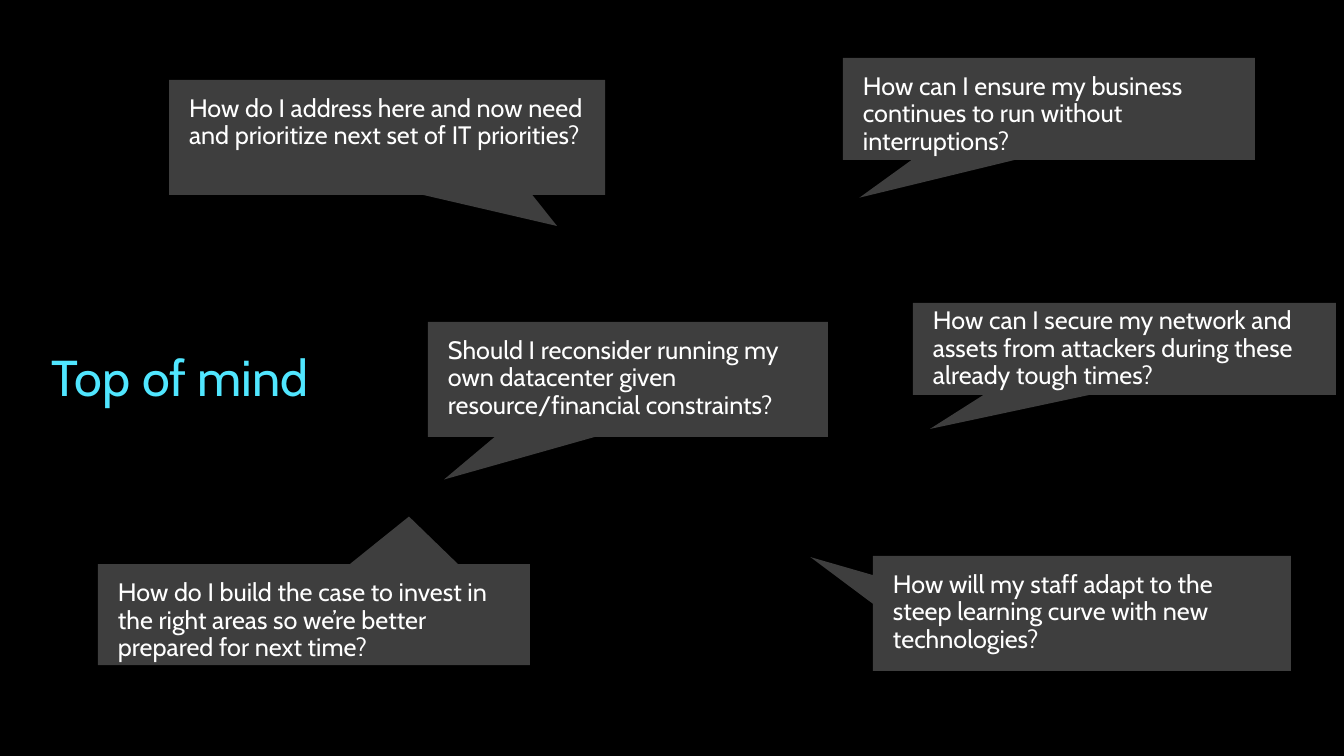
from pptx import Presentation
from pptx.dml.color import RGBColor
from pptx.enum.shapes import MSO_SHAPE
from pptx.enum.text import MSO_ANCHOR, PP_ALIGN
from pptx.util import Emu, Pt

CALLOUT = MSO_SHAPE.RECTANGULAR_CALLOUT
TOP, MIDDLE = MSO_ANCHOR.TOP, MSO_ANCHOR.MIDDLE
LEFT = PP_ALIGN.LEFT

BLACK = RGBColor(0x00, 0x00, 0x00)
GRAY = RGBColor(0x3E, 0x3E, 0x3E)
WHITE = RGBColor(0xFF, 0xFF, 0xFF)
CYAN = RGBColor(0x50, 0xE6, 0xFF)

FONT = "Cabin"
PX_PER_INCH = 100.8

QUESTIONS = [
    ((843, 58, 412, 102), (-0.46, 0.87), TOP,
     "How can I ensure my business continues to run without interruptions?"),
    ((428, 322, 400, 115), (-0.46, 0.87), TOP,
     "Should I reconsider running my own datacenter given resource/financial constraints?"),
    ((169, 80, 436, 115), (0.39, 0.77), TOP,
     "How do I address here and now need and prioritize next set of IT priorities?"),
    ((873, 556, 418, 115), (-0.65, -0.49), TOP,
     "How will my staff adapt to the steep learning curve with new technologies?"),
    ((98, 564, 432, 101), (0.22, -0.97), TOP,
     "How do I build the case to invest in the right areas so we’re better prepared for next time?"),
    ((913, 303, 423, 92), (-0.46, 0.87), MIDDLE,
     "How can I secure my network and assets from attackers during these already tough times?"),
]


def px(n):
    return Emu(round(n * 914400 / PX_PER_INCH))


def apply(target, values):
    for name, value in values.items():
        setattr(target, name, value)


class SlideBuilder:
    def __init__(self, prs):
        self.slide = prs.slides.add_slide(prs.slide_layouts[6])
        fill = self.slide.background.fill
        fill.solid()
        fill.fore_color.rgb = BLACK

    def set_text(self, sp, text, size, color, insets, anchor=TOP, after=0):
        tf = sp.text_frame
        left, top, right, bottom = map(px, insets)
        apply(tf, {"word_wrap": True, "vertical_anchor": anchor,
                   "margin_left": left, "margin_top": top,
                   "margin_right": right, "margin_bottom": bottom})
        p = tf.paragraphs[0]
        apply(p, {"alignment": LEFT, "line_spacing": 0.9, "space_after": Pt(after)})
        r = p.add_run()
        r.text = text
        apply(r.font, {"name": FONT, "size": Pt(size)})
        r.font.color.rgb = color

    def title(self, box, text):
        sp = self.slide.shapes.add_textbox(*map(px, box))
        self.set_text(sp, text, 36, CYAN, (0, 5, 10, 5))

    def callout(self, box, tip, anchor, text):
        sp = self.slide.shapes.add_shape(CALLOUT, *map(px, box))
        sp.adjustments[0], sp.adjustments[1] = tip
        sp.shadow.inherit = False
        sp.fill.solid()
        sp.fill.fore_color.rgb = GRAY
        sp.line.fill.background()
        self.set_text(sp, text, 18, WHITE, (20, 16, 20, 16), anchor, 6)


def main():
    prs = Presentation()
    apply(prs, {"slide_width": px(1344), "slide_height": px(756)})
    s = SlideBuilder(prs)
    s.title((52, 348, 610, 61), "Top of mind")
    for question in QUESTIONS:
        s.callout(*question)
    prs.save("out.pptx")


if __name__ == "__main__":
    main()
